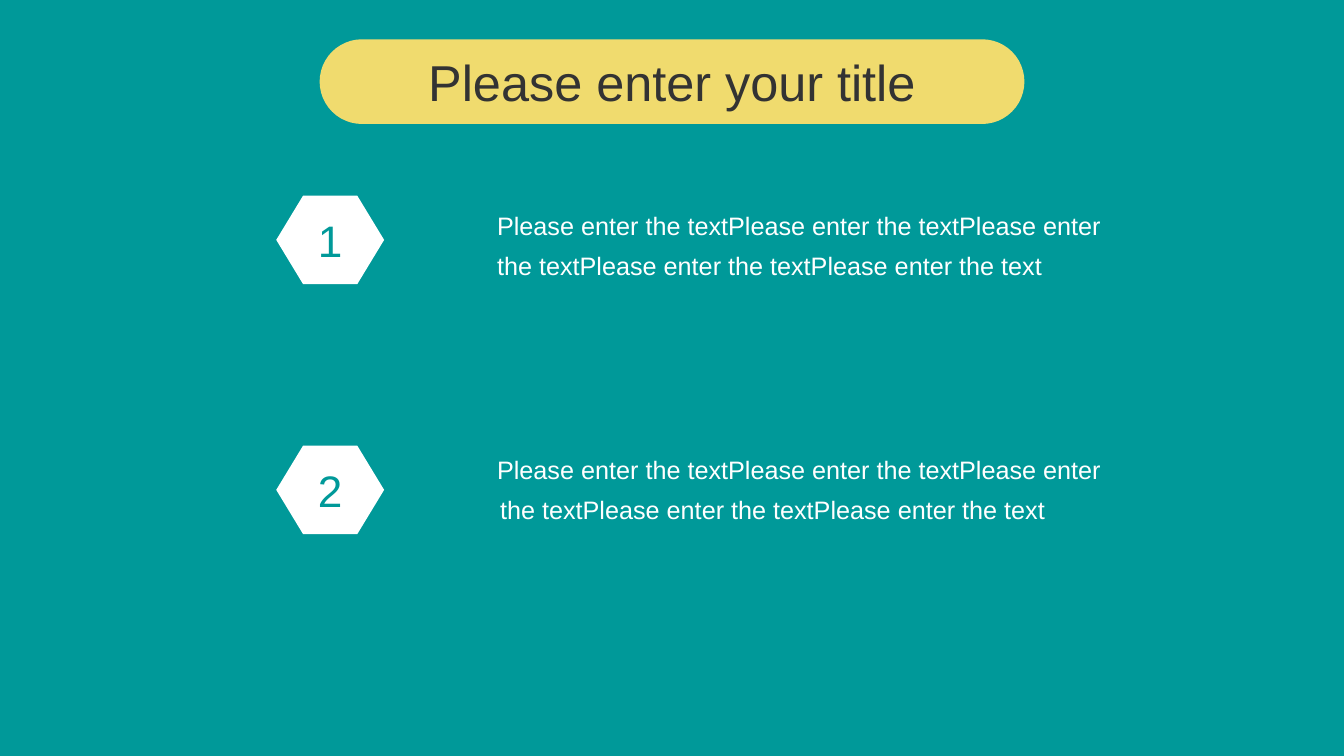
from dataclasses import dataclass

from lxml.etree import SubElement
from pptx import Presentation
from pptx.dml.color import RGBColor
from pptx.enum.shapes import MSO_SHAPE
from pptx.enum.text import MSO_ANCHOR, MSO_AUTO_SIZE, PP_ALIGN
from pptx.oxml.ns import qn
from pptx.util import Inches, Pt


@dataclass(frozen=True)
class Theme:
    """Colours, font and type sizes of the slide."""
    teal: RGBColor = RGBColor(0x00, 0x99, 0x99)
    yellow: RGBColor = RGBColor(0xF0, 0xDB, 0x6E)
    white: RGBColor = RGBColor(0xFF, 0xFF, 0xFF)
    dark: RGBColor = RGBColor(0x33, 0x33, 0x33)
    font: str = "Arial"
    title: float = 36
    number: float = 31.5
    body: float = 18


THEME = Theme()
ITEM_TEXT = "Please enter the text" * 5


def place(sp, x, y, w, h):
    """Move a placeholder to a box given in inches."""
    sp.left, sp.top, sp.width, sp.height = map(Inches, (x, y, w, h))


def add_filled(s, kind, box, color):
    """Add a flat preset shape without outline."""
    sp = s.shapes.add_shape(kind, *map(Inches, box))
    sp.shadow.inherit = False
    sp.fill.solid()
    sp.fill.fore_color.rgb = color
    sp.line.fill.background()
    return sp


def write(sp, text, size, color, align, anchor):
    """Write one paragraph into a shape and return the paragraph."""
    tf = sp.text_frame
    tf.word_wrap = True
    tf.auto_size = MSO_AUTO_SIZE.NONE
    tf.vertical_anchor = anchor
    p = tf.paragraphs[0]
    p.alignment = align
    p.space_before = Pt(0)
    r = p.add_run()
    r.text = text
    r.font.name = THEME.font
    r.font.size = Pt(size)
    r.font.color.rgb = color
    return p


def add_title(s, text, x, y, w, h):
    """Place the title on a yellow pill."""
    pill = add_filled(s, MSO_SHAPE.ROUNDED_RECTANGLE, (x, y, w, h), THEME.yellow)
    pill.adjustments[0] = 0.5
    title = s.shapes.title
    title.element.addprevious(pill.element)
    place(title, x, y, w, h)
    write(title, text, THEME.title, THEME.dark, PP_ALIGN.CENTER, MSO_ANCHOR.MIDDLE)


def add_item(s, body, number, x, y, text_dy, hang):
    """Place a numbered hexagon with its text to the right."""
    badge = add_filled(s, MSO_SHAPE.HEXAGON, (x, y, 1.07, 0.88), THEME.white)
    badge.adjustments[0] = 0.303
    write(badge, str(number), THEME.number, THEME.teal, PP_ALIGN.CENTER, MSO_ANCHOR.MIDDLE)
    place(body, x + 2.09, y + text_dy, 6.31, 2.14)
    p = write(body, ITEM_TEXT, THEME.body, THEME.white, PP_ALIGN.LEFT, MSO_ANCHOR.TOP)
    p.line_spacing = 1.3
    pPr = p._p.get_or_add_pPr()
    pPr.set("marL", str(Inches(hang)))
    pPr.set("indent", str(-Inches(hang)))
    SubElement(pPr, qn("a:buNone"))


def main():
    """Build the slide and save it."""
    prs = Presentation()
    prs.slide_width, prs.slide_height = Inches(13.33), Inches(7.5)
    s = prs.slides.add_slide(prs.slide_layouts[3])
    s.background.fill.solid()
    s.background.fill.fore_color.rgb = THEME.teal
    add_title(s, "Please enter your title", 3.17, 0.39, 6.99, 0.84)
    offsets = [(0.01, 0), (-0.05, 0.03)]
    for i, (text_dy, hang) in enumerate(offsets):
        add_item(s, s.placeholders[i + 1], i + 1, 2.74, 1.94 + i * 2.48, text_dy, hang)
    prs.save("out.pptx")


if __name__ == "__main__":
    main()
